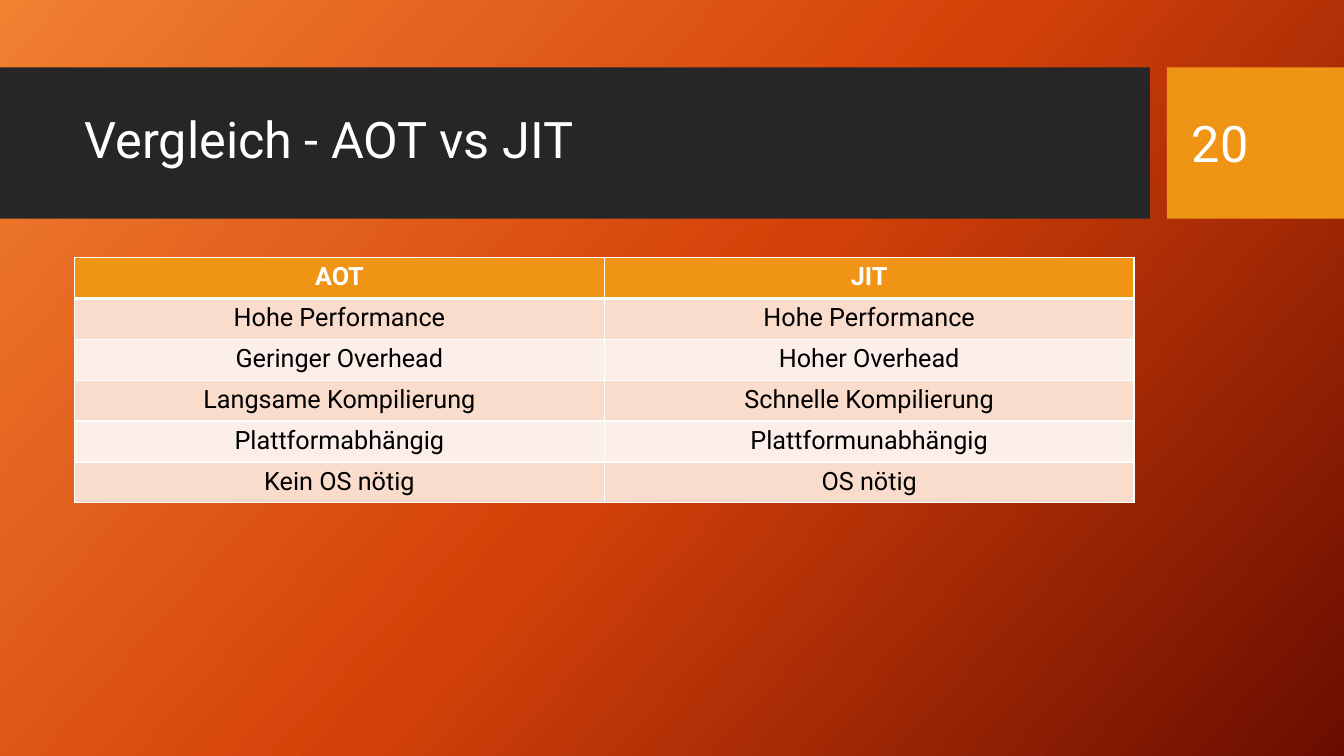
"""Build the slide that compares AOT with JIT compilation."""
import copy

import pptx
import pptx.dml.color
import pptx.enum.shapes
import pptx.enum.text
import pptx.oxml
import pptx.oxml.ns
import pptx.util

Cm = pptx.util.Cm
Pt = pptx.util.Pt
RGBColor = pptx.dml.color.RGBColor

TITLE = "Vergleich - AOT vs JIT"
PAGE_NUMBER = "20"
COMPARISON = [
    ("AOT", "JIT"),
    ("Hohe Performance", "Hohe Performance"),
    ("Geringer Overhead", "Hoher Overhead"),
    ("Langsame Kompilierung", "Schnelle Kompilierung"),
    ("Plattformabhängig", "Plattformunabhängig"),
    ("Kein OS nötig", "OS nötig"),
]

FONT = "Roboto"
WHITE = RGBColor(0xFF, 0xFF, 0xFF)
BLACK = RGBColor(0, 0, 0)
CHARCOAL = RGBColor(0x26, 0x26, 0x26)
ORANGE = RGBColor(0xF0, 0x94, 0x15)
BANDS = [RGBColor(0xFC, 0xEE, 0xE8), RGBColor(0xF9, 0xDC, 0xCC)]
BACKDROP = [
    (0, RGBColor(0xF1, 0x80, 0x31)),
    (0.5, RGBColor(0xD5, 0x42, 0x09)),
    (1, RGBColor(0x6A, 0x0D, 0x00)),
]

SLIDE_WIDTH, SLIDE_HEIGHT = Cm(33.87), Cm(19.05)
BAND_TOP, BAND_HEIGHT = Cm(1.7), Cm(3.81)
TITLE_BAND_WIDTH = Cm(28.98)
NUMBER_BAND_LEFT = Cm(29.41)
TEXT_TOP, TEXT_HEIGHT = Cm(2.08), Cm(3)
CONTENT_LEFT, CONTENT_WIDTH = Cm(1.88), Cm(26.7)
TABLE_TOP, ROW_HEIGHT = Cm(6.49), Cm(1.03)


def paint_backdrop(page):
    fill = page.background.fill
    fill.gradient()
    fill.gradient_angle = 360 - 42
    stop_list = page.element.xpath(".//a:gsLst")[0]
    stop_list.insert(1, copy.deepcopy(stop_list[0]))
    for stop, (position, color) in zip(fill.gradient_stops, BACKDROP):
        stop.position = position
        stop.color.rgb = color


def add_band(page, left, width, color):
    band = page.shapes.add_shape(
        pptx.enum.shapes.MSO_SHAPE.RECTANGLE, left, BAND_TOP, width, BAND_HEIGHT)
    band.shadow.inherit = False
    band.fill.solid()
    band.fill.fore_color.rgb = color
    band.line.fill.background()


def add_span(para, text, size, color, bold=False):
    span = para.add_run()
    span.text = text
    span.font.name = FONT
    span.font.size = Pt(size)
    span.font.bold = bold
    span.font.color.rgb = color


def add_heading(page, left, width, text, spacing):
    box = page.shapes.add_textbox(left, TEXT_TOP, width, TEXT_HEIGHT)
    frame = box.text_frame
    frame.word_wrap = True
    frame.vertical_anchor = pptx.enum.text.MSO_ANCHOR.MIDDLE
    para = frame.paragraphs[0]
    para.line_spacing = spacing
    add_span(para, text, 36, WHITE)


def add_borders(cell, widths):
    properties = cell._tc.get_or_add_tcPr()
    for side, width in widths.items():
        properties.append(pptx.oxml.parse_xml(
            f'<a:ln{side} {pptx.oxml.ns.nsdecls("a")} w="{Pt(width)}">'
            f'<a:solidFill><a:srgbClr val="{WHITE}"/></a:solidFill></a:ln{side}>'))


def add_comparison(page):
    row_count, column_count = len(COMPARISON), len(COMPARISON[0])
    table = page.shapes.add_table(
        row_count, column_count, CONTENT_LEFT, TABLE_TOP,
        CONTENT_WIDTH, ROW_HEIGHT * row_count).table
    for row_index, texts in enumerate(COMPARISON):
        header = row_index == 0
        widths = {"L": 1, "R": 1, "T": 3 if row_index == 1 else 1, "B": 3 if header else 1}
        for column_index, text in enumerate(texts):
            cell = table.cell(row_index, column_index)
            add_borders(cell, widths)
            cell.fill.solid()
            cell.fill.fore_color.rgb = ORANGE if header else BANDS[row_index % 2]
            para = cell.text_frame.paragraphs[0]
            para.alignment = pptx.enum.text.PP_ALIGN.CENTER
            add_span(para, text, 18, WHITE if header else BLACK, header)


def main():
    deck = pptx.Presentation()
    deck.slide_width, deck.slide_height = SLIDE_WIDTH, SLIDE_HEIGHT
    page = deck.slides.add_slide(deck.slide_layouts[6])
    paint_backdrop(page)
    add_band(page, 0, TITLE_BAND_WIDTH, CHARCOAL)
    add_band(page, NUMBER_BAND_LEFT, SLIDE_WIDTH - NUMBER_BAND_LEFT, ORANGE)
    add_heading(page, CONTENT_LEFT, CONTENT_WIDTH, TITLE, 0.9)
    add_comparison(page)
    add_heading(page, Cm(29.79), Cm(3.2), PAGE_NUMBER, 1)
    deck.save("out.pptx")


if __name__ == "__main__":
    main()
